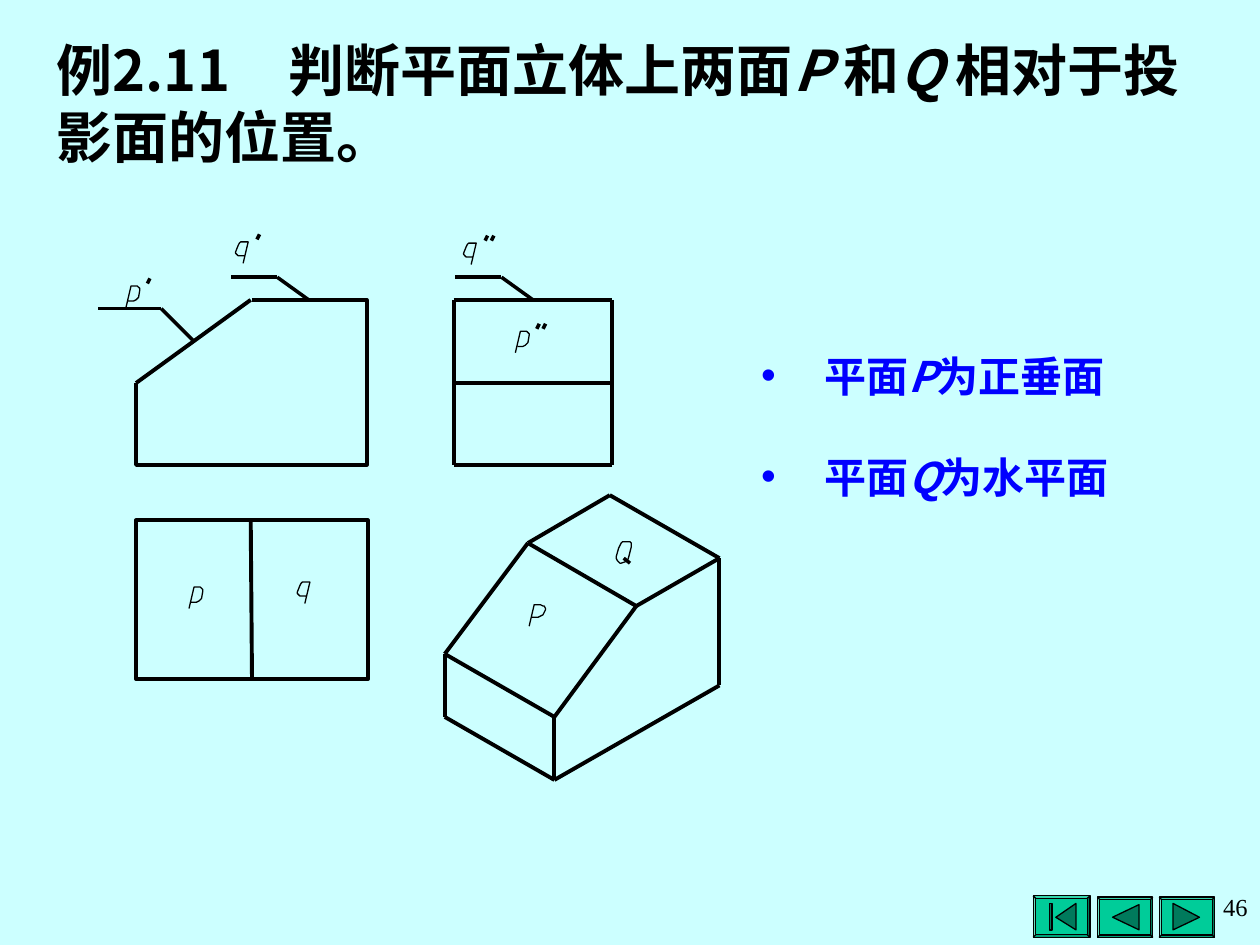
from lxml import etree
from pptx import Presentation
from pptx.dml.color import RGBColor
from pptx.enum.shapes import MSO_CONNECTOR, MSO_SHAPE
from pptx.enum.text import MSO_ANCHOR, MSO_AUTO_SIZE, PP_ALIGN
from pptx.oxml.ns import qn
from pptx.util import Inches, Pt

STRAIGHT = MSO_CONNECTOR.STRAIGHT
RECT, BEVEL = MSO_SHAPE.RECTANGLE, MSO_SHAPE.BEVEL
LEFT, RIGHT = PP_ALIGN.LEFT, PP_ALIGN.RIGHT
TOP, MIDDLE = MSO_ANCHOR.TOP, MSO_ANCHOR.MIDDLE
NO_FIT = MSO_AUTO_SIZE.NONE

BACK = RGBColor(0xCC, 0xFF, 0xFF)
BLACK = RGBColor(0, 0, 0)
BLUE = RGBColor(0, 0, 0xFF)
GREEN = RGBColor(0, 0xCC, 0x99)
DARK = RGBColor(0, 0x7A, 0x5C)
SANS, SERIF = "Noto Sans CJK SC", "Times New Roman"
THICK, HAIR = 2.25, 0

# Text runs: (words, italic)
TITLE = [("例2.11\t判断平面立体上两面", False), ("P ", True), ("和", False),
         ("Q ", True), ("相对于投影面的位置。", False)]
ANSWERS = [[("平面", False), ("P", True), ("为正垂面", False)],
           [("平面", False), ("Q", True), ("为水平面", False)]]
PAGE = "46"

# Projections: front outline, top rectangle, lines of the top and side views
FRONT = [(2, 2.38), (2.91, 2.38), (2.91, 3.69), (1.08, 3.69), (1.08, 3.04)]
PLAN = (1.08, 4.13, 1.84, 1.26)
VIEWS = [((1.99, 2.38), (1.08, 3.04)), ((1.99, 4.13), (2, 5.39))]
VIEWS += [((x, 2.38), (x, 3.69)) for x in (3.6, 4.86)]
VIEWS += [((3.6, y), (4.86, y)) for y in (2.38, 3.04, 3.69)]

# Solid: corners and the edges that join them
CORNERS = {"A": (4.84, 3.93), "B": (5.71, 4.43), "C": (5.05, 4.81),
           "D": (4.19, 4.31), "E": (3.53, 5.19), "F": (3.53, 5.69),
           "G": (4.4, 6.19), "H": (4.4, 5.69), "I": (5.71, 5.44)}
EDGES = "CB BA AD EF FG GH BI IG CH CD DE HE".split()

# Drafting letters: strokes from the top left of each letter
LETTERS = {
    "p": [(0, .17), (.04, 0), (.09, 0), (.1, .01), (.11, .02), (.11, .03),
          (.1, .09), (.09, .1), (.08, .11), (.06, .12), (.02, .12)],
    "q": [(.06, .17), (.1, 0), (.06, 0), (.04, 0), (.03, .01), (.02, .03),
          (0, .08), (0, .09), (.01, .1), (.02, .11), (.04, .11), (.07, .11)],
    "P": [(0, .17), (.04, 0), (.09, 0), (.11, .01), (.12, .01), (.13, .03),
          (.13, .04), (.12, .06), (.11, .08), (.09, .09), (.07, .1), (.02, .1)],
    "Q": [(.1, .12), (.12, .04), (.12, .03), (.12, .01), (.11, 0), (.09, 0),
          (.07, 0), (.05, 0), (.04, .01), (.03, .03), (.02, .05), (0, .12),
          (0, .13), (.01, .15), (.02, .16), (.03, .17), (.04, .17),
          (.07, .16), (.09, .15), (.1, .12)],
}
# Letter, left, top, number of primes
LABELS = [("Q", 4.89, 4.3, 0), ("p", 1.5, 4.66, 0), ("q", 2.36, 4.62, 0),
          ("P", 4.2, 4.8, 0), ("p", 4.09, 2.63, 2), ("p", 1, 2.27, 1),
          ("q", 1.87, 1.92, 1), ("q", 3.68, 1.93, 2)]
TAIL = ((4.95, 4.43), (5, 4.47))
LEADERS = [[(1.54, 2.71), (1.28, 2.45), (.78, 2.45)],
           [(2.45, 2.38), (2.2, 2.2), (1.83, 2.2)],
           [(4.23, 2.38), (3.98, 2.2), (3.61, 2.2)]]

# Buttons: box, then marks
BUTTONS = [
    ((9.2, 7.12, .44, .32), [[(9.31, 7.17), (9.52, 7.28), (9.31, 7.38)]]),
    ((8.71, 7.12, .44, .32), [[(8.83, 7.28), (9.04, 7.18), (9.04, 7.38)]]),
    ((8.2, 7.11, .45, .33), [[(8.38, 7.28), (8.54, 7.17), (8.54, 7.38)],
                             [(8.33, 7.17), (8.35, 7.17), (8.35, 7.38),
                              (8.33, 7.38)]]),
]

prs = Presentation()
prs.slide_width, prs.slide_height = Inches(10), Inches(7.5)
slide = prs.slides.add_slide(prs.slide_layouts[1])
slide.background.fill.solid()
slide.background.fill.fore_color.rgb = BACK
shapes = slide.shapes


def paint(shape, width, fill=None):
    shape.shadow.inherit = False
    if fill is None:
        shape.fill.background()
    else:
        shape.fill.solid()
        shape.fill.fore_color.rgb = fill
    shape.line.color.rgb = BLACK
    shape.line.width = Pt(width)


def box(kind, at, width, fill=None):
    shape = shapes.add_shape(kind, *map(Inches, at))
    paint(shape, width, fill)
    return shape


def trace(points, width, fill=None, close=False):
    """Draw an outline through the points."""
    spots = [(Inches(x), Inches(y)) for x, y in points]
    form = shapes.build_freeform(*spots[0])
    form.add_line_segments(spots[1:], close=close)
    paint(form.convert_to_shape(), width, fill)


def line(start, end, width):
    rod = shapes.add_connector(STRAIGHT, *map(Inches, start + end))
    rod.line.color.rgb = BLACK
    rod.line.width = Pt(width)
    etree.SubElement(rod._element.spPr, qn("a:effectLst"))


def place(shape, at, anchor):
    shape.left, shape.top, shape.width, shape.height = map(Inches, at)
    frame = shape.text_frame
    frame.auto_size, frame.word_wrap = NO_FIT, True
    frame.vertical_anchor = anchor
    return frame


def style(para, face, size, color, bold=False):
    font = para.font
    font.name, font.size, font.bold = face, Pt(size), bold
    font.color.rgb = color
    east = etree.SubElement(para._p.pPr.find(qn("a:defRPr")), qn("a:ea"))
    east.set("typeface", face)


def write(para, runs, size, color):
    para.alignment = LEFT
    para.line_spacing = Pt(size * 1.2)
    for words, slant in runs:
        run = para.add_run()
        run.text = words
        run.font.italic = slant
    style(para, SANS, size, color, True)


for at, marks in BUTTONS:
    box(BEVEL, at, .75, GREEN).adjustments[0] = .06
    for mark in marks:
        trace(mark, .75, DARK, True)

head = place(shapes.title, (.35, .19, 9.45, 1.25), MIDDLE).paragraphs[0]
tabs = etree.SubElement(head._p.get_or_add_pPr(), qn("a:tabLst"))
etree.SubElement(tabs, qn("a:tab"), pos=str(Inches(1.84)), algn="l")
write(head, TITLE, 32, BLACK)

body = place(slide.placeholders[1], (5.94, 2.73, 3.62, 1.3), TOP)
for i, runs in enumerate(ANSWERS):
    para = body.add_paragraph() if i else body.paragraphs[0]
    props = para._p.get_or_add_pPr()
    props.set("marL", str(Inches(.5)))
    props.set("indent", str(-Inches(.5)))
    tint = etree.SubElement(props, qn("a:buClr"))
    etree.SubElement(tint, qn("a:srgbClr"), val=str(BLUE))
    etree.SubElement(props, qn("a:buChar"), char="•")
    para.space_before = Pt(28.8 if i else 0)
    write(para, runs, 24, BLUE)

trace(FRONT, THICK)
box(RECT, PLAN, THICK)
for start, end in VIEWS:
    line(start, end, THICK)
for start, end in EDGES:
    line(CORNERS[start], CORNERS[end], THICK)

for letter, left, top, primes in LABELS:
    trace([(left + x, top + y) for x, y in LETTERS[letter]], HAIR)
    for i in range(primes):
        x = left + .17 + .05 * i
        line((x, top - .02), (x + .02, top - .06), HAIR)
line(*TAIL, HAIR)
for start, bend, end in LEADERS:
    line(start, bend, HAIR)
    line(bend, end, HAIR)

spot = (7.48, 7.03, 2.52, .61)
page = place(shapes.add_textbox(*map(Inches, spot)), spot, TOP).paragraphs[0]
page.text = PAGE
page.alignment = RIGHT
style(page, SERIF, 14, BLACK)

prs.save("out.pptx")
